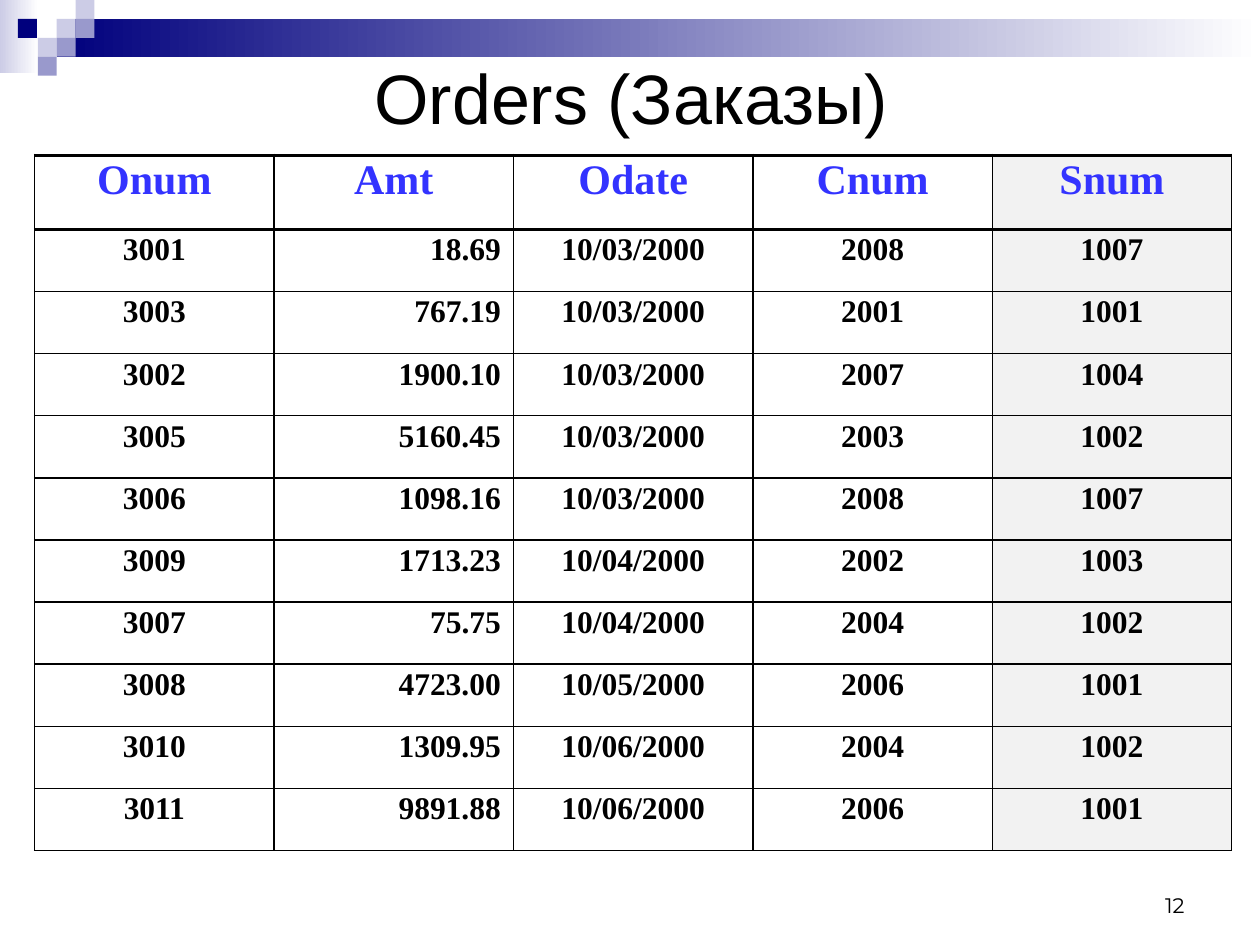
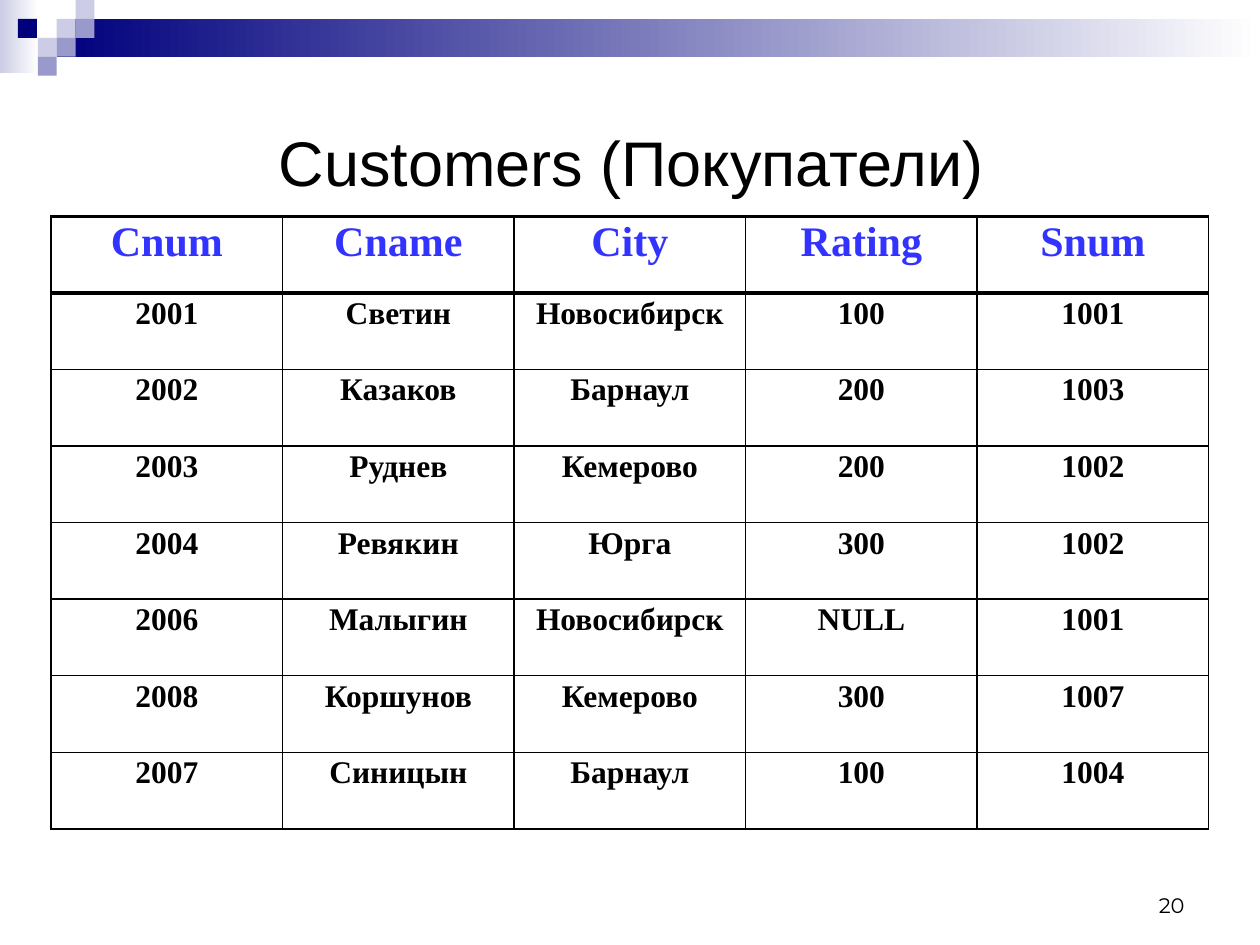
from lxml.etree import SubElement
from pptx import Presentation
from pptx.dml.color import RGBColor
from pptx.enum.shapes import MSO_SHAPE
from pptx.enum.text import MSO_ANCHOR, PP_ALIGN
from pptx.oxml.ns import qn
from pptx.util import Pt

BLACK = RGBColor(0x00, 0x00, 0x00)
WHITE = RGBColor(0xFF, 0xFF, 0xFF)
NAVY = RGBColor(0x00, 0x00, 0x7D)
LAVENDER = RGBColor(0xCC, 0xCC, 0xE6)
VIOLET = RGBColor(0x99, 0x99, 0xCC)
HEADING_BLUE = RGBColor(0x33, 0x33, 0xFF)
KEY_GREY = RGBColor(0xF2, 0xF2, 0xF2)

TITLE_FONT, NUMBER_FONT, TABLE_FONT = "Arial", "Montserrat", "Times New Roman"
THIN, THICK = 1, 2
MOSAIC_SIZE = 10.8
MOSAIC = [
    (3, 1, LAVENDER), (4, 0, LAVENDER), (4, 1, VIOLET), (2, 2, LAVENDER),
    (0.95, 1, NAVY), (3, 2, VIOLET), (2, 3, VIOLET),
]

ORDERS = [
    ("Onum", "Amt", "Odate", "Cnum", "Snum"),
    ("3001", "18.69", "10/03/2000", "2008", "1007"),
    ("3003", "767.19", "10/03/2000", "2001", "1001"),
    ("3002", "1900.10", "10/03/2000", "2007", "1004"),
    ("3005", "5160.45", "10/03/2000", "2003", "1002"),
    ("3006", "1098.16", "10/03/2000", "2008", "1007"),
    ("3009", "1713.23", "10/04/2000", "2002", "1003"),
    ("3007", "75.75", "10/04/2000", "2004", "1002"),
    ("3008", "4723.00", "10/05/2000", "2006", "1001"),
    ("3010", "1309.95", "10/06/2000", "2004", "1002"),
    ("3011", "9891.88", "10/06/2000", "2006", "1001"),
]
CUSTOMERS = [
    ("Cnum", "Cname", "City", "Rating", "Snum"),
    ("2001", "Светин", "Новосибирск", "100", "1001"),
    ("2002", "Казаков", "Барнаул", "200", "1003"),
    ("2003", "Руднев", "Кемерово", "200", "1002"),
    ("2004", "Ревякин", "Юрга", "300", "1002"),
    ("2006", "Малыгин", "Новосибирск", "NULL", "1001"),
    ("2008", "Коршунов", "Кемерово", "300", "1007"),
    ("2007", "Синицын", "Барнаул", "100", "1004"),
]


def write_text(frame, text, *, font, size, color=BLACK, bold=False,
               align=PP_ALIGN.CENTER, anchor=MSO_ANCHOR.TOP, line_spacing=1.0):
    frame.word_wrap = True
    frame.vertical_anchor = anchor
    paragraph = frame.paragraphs[0]
    paragraph.text = text
    paragraph.alignment = align
    paragraph.line_spacing = line_spacing
    paragraph.font.name = font
    paragraph.font.size = Pt(size)
    paragraph.font.bold = bold
    paragraph.font.color.rgb = color


def draw_borders(cell, top, bottom):
    properties = cell._tc.get_or_add_tcPr()
    for side, width in (("L", THIN), ("R", THIN), ("T", top), ("B", bottom)):
        border = SubElement(properties, qn(f"a:ln{side}"), w=str(Pt(width)))
        fill = SubElement(border, qn("a:solidFill"))
        SubElement(fill, qn("a:srgbClr"), val=str(BLACK))


class TableDeck:
    """Build slides that share a mosaic banner, a title, a table and a number."""

    def __init__(self):
        self.presentation = Presentation()
        self.presentation.slide_width = Pt(720)
        self.presentation.slide_height = Pt(540)
        self.slide = None

    def start_slide(self):
        blank = self.presentation.slide_layouts[6]
        self.slide = self.presentation.slides.add_slide(blank)
        self.add_block(0, 0, 22, 42, LAVENDER, fade_to=WHITE)
        self.add_block(32.4, 10.8, 687.6, 21.6, NAVY, fade_to=WHITE)
        for column, row, color in MOSAIC:
            self.add_block(column * MOSAIC_SIZE, row * MOSAIC_SIZE,
                           MOSAIC_SIZE, MOSAIC_SIZE, color)

    def add_block(self, left, top, width, height, color, fade_to=None):
        block = self.slide.shapes.add_shape(
            MSO_SHAPE.RECTANGLE, Pt(left), Pt(top), Pt(width), Pt(height))
        block.shadow.inherit = False
        block.line.fill.background()
        if fade_to is None:
            block.fill.solid()
            block.fill.fore_color.rgb = color
            return
        block.fill.gradient()
        block.fill.gradient_angle = 0
        for stop, position, shade in zip(
                block.fill.gradient_stops, (0, 1), (color, fade_to)):
            stop.position = position
            stop.color.rgb = shade

    def add_text(self, text, left, top, width, height, **text_format):
        box = self.slide.shapes.add_textbox(
            Pt(left), Pt(top), Pt(width), Pt(height))
        write_text(box.text_frame, text, **text_format)

    def add_title(self, text, top, height, size):
        self.add_text(text, 36.7, top, 648, height, font=TITLE_FONT,
                      size=size, anchor=MSO_ANCHOR.MIDDLE)

    def add_number(self, number):
        self.add_text(str(number), 516, 492, 168, 36, font=NUMBER_FONT, size=12,
                      align=PP_ALIGN.RIGHT, anchor=MSO_ANCHOR.BOTTOM)

    def add_table(self, records, left, top, width, heading_height, row_height,
                  amount_column=None, shaded_column=None):
        column_count = len(records[0])
        height = heading_height + row_height * (len(records) - 1)
        table = self.slide.shapes.add_table(
            len(records), column_count,
            Pt(left), Pt(top), Pt(width), Pt(height)).table
        table.horz_banding = False
        for column in table.columns:
            column.width = Pt(width / column_count)
        for row_index, record in enumerate(records):
            heading = row_index == 0
            table.rows[row_index].height = Pt(
                heading_height if heading else row_height)
            for column_index, value in enumerate(record):
                cell = table.cell(row_index, column_index)
                draw_borders(cell, top=THICK if row_index < 2 else THIN,
                             bottom=THICK if heading else THIN)
                if column_index == shaded_column:
                    cell.fill.solid()
                    cell.fill.fore_color.rgb = KEY_GREY
                else:
                    cell.fill.background()
                is_amount = column_index == amount_column and not heading
                write_text(cell.text_frame, value, font=TABLE_FONT, bold=True,
                           size=24 if heading else 18,
                           color=HEADING_BLUE if heading else BLACK,
                           align=PP_ALIGN.RIGHT if is_amount else PP_ALIGN.CENTER,
                           line_spacing=0.9)


def main():
    deck = TableDeck()

    deck.start_slide()
    deck.add_title("Orders (Заказы)", top=26, height=58.3, size=40)
    deck.add_table(ORDERS, 19.8, 88.6, 684, heading_height=42.5,
                   row_height=35.5, amount_column=1, shaded_column=4)
    deck.add_number(12)

    deck.start_slide()
    deck.add_title("Customers (Покупатели)", top=49, height=86.4, size=36)
    deck.add_table(CUSTOMERS, 29.2, 123.7, 661.5, heading_height=43.75,
                   row_height=43.75)
    deck.add_number(20)

    deck.presentation.save("out.pptx")


if __name__ == "__main__":
    main()
